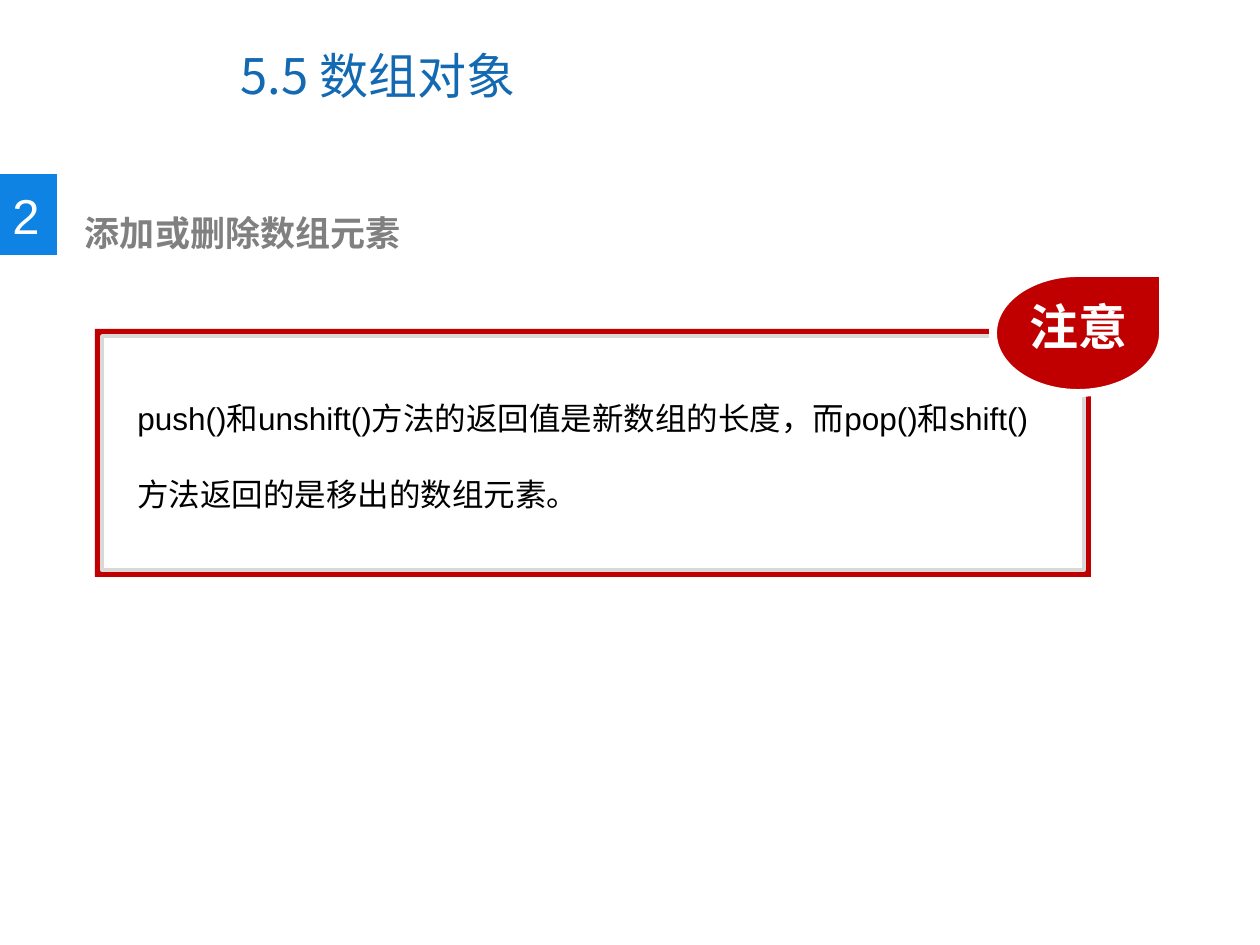
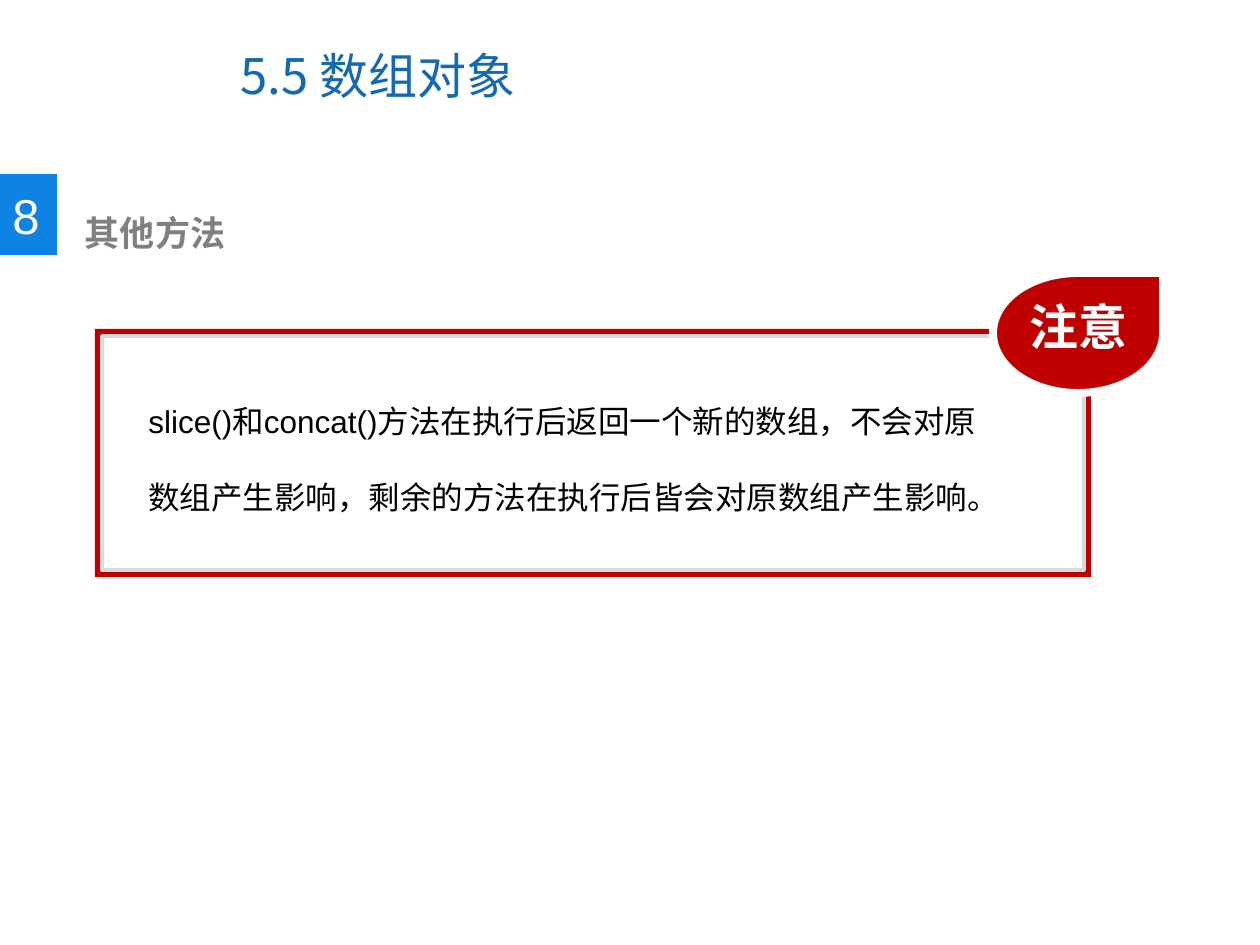
import pptx
import pptx.dml.color
import pptx.enum.shapes
import pptx.enum.text
import pptx.oxml.ns
import pptx.util

RGBColor = pptx.dml.color.RGBColor
Shape = pptx.enum.shapes.MSO_SHAPE
Anchor = pptx.enum.text.MSO_ANCHOR
Pt = pptx.util.Pt

PX = 914400 / 126
SLIDE_SIZE = (1260, 945)
TITLE_BOX = (228, 21, 650, 107)
MARKER_BOX = (0, 174, 57, 81)
HEADING_BOX = (59, 205, 648, 55)
FRAME_BOX = (95, 329, 996, 248)
BADGE_BOX = (993, 273, 170, 120)

WHITE = RGBColor(0xFF, 0xFF, 0xFF)
BLACK = RGBColor(0x00, 0x00, 0x00)
GREY = RGBColor(0x80, 0x80, 0x80)
PALE_GREY = RGBColor(0xD9, 0xD9, 0xD9)
TITLE_BLUE = RGBColor(0x13, 0x69, 0xB2)
MARKER_BLUE = RGBColor(0x0F, 0x83, 0xE3)
RED = RGBColor(0xC0, 0x00, 0x00)

LATIN = "Arial"
CJK = "Noto Sans CJK SC"

TITLE_STYLE = dict(name=CJK, size=Pt(28), bold=False, color=TITLE_BLUE)
NUMBER_STYLE = dict(name=LATIN, size=Pt(28), color=WHITE)
HEADING_STYLE = dict(name=LATIN, size=Pt(20), bold=True, color=GREY)
BADGE_STYLE = dict(name=CJK, size=Pt(28), bold=True, color=WHITE)
NOTE_STYLE = dict(name=LATIN, size=Pt(18), color=BLACK)

TITLE = "5.5 数组对象"
BADGE = "注意"
NOTES = [
    dict(number="2", heading="添加或删除数组元素", box=(125, 355, 917, 165),
         note="push()和unshift()方法的返回值是新数组的长度，"
              "而pop()和shift()方法返回的是移出的数组元素。"),
    dict(number="8", heading="其他方法", box=(136, 358, 881, 165),
         note="slice()和concat()方法在执行后返回一个新的数组，不会对原数组产生影响，"
              "剩余的方法在执行后皆会对原数组产生影响。"),
]


def emu(*lengths):
    return [round(n * PX) for n in lengths]


def write(p, text, style):
    """Put one run in p, with the East Asian font named as well."""
    r = p.add_run()
    r.text = text
    for key, value in style.items():
        if key == "color":
            r.font.color.rgb = value
        else:
            setattr(r.font, key, value)
    ea = r._r.get_or_add_rPr().makeelement(pptx.oxml.ns.qn("a:ea"), {"typeface": CJK})
    r._r.rPr.find(pptx.oxml.ns.qn("a:latin")).addnext(ea)


def add_text(shapes, box, text, style, wrap=False):
    tf = shapes.add_textbox(*emu(*box)).text_frame
    tf.word_wrap = wrap
    write(tf.paragraphs[0], text, style)
    return tf


def add_block(shapes, kind, box, fill, line=None, width=0):
    s = shapes.add_shape(kind, *emu(*box))
    s.shadow.inherit = False
    s.fill.solid()
    s.fill.fore_color.rgb = fill
    if line is None:
        s.line.fill.background()
    else:
        s.line.color.rgb = line
        s.line.width = Pt(width)


def add_title(slide, box, text):
    title = slide.shapes.title
    title.left, title.top, title.width, title.height = emu(*box)
    tf = title.text_frame
    tf.auto_size = pptx.enum.text.MSO_AUTO_SIZE.NONE
    tf.vertical_anchor = Anchor.MIDDLE
    p = tf.paragraphs[0]
    p.alignment = pptx.enum.text.PP_ALIGN.LEFT
    write(p, text, TITLE_STYLE)


def add_marker(slide, box, number):
    x, y, w, h = box
    shapes = slide.shapes.add_group_shape().shapes
    add_block(shapes, Shape.RECTANGLE, box, MARKER_BLUE)
    add_text(shapes, (x, y + 5, w - 4, h - 9), number, NUMBER_STYLE)


def add_heading(slide, box, text):
    tf = add_text(slide.shapes, box, text, HEADING_STYLE, wrap=True)
    tf.margin_left = emu(26)[0]


def add_frame(slide, box, border=7):
    x, y, w, h = box
    shapes = slide.shapes.add_group_shape().shapes
    add_block(shapes, Shape.RECTANGLE, box, RED)
    inner = (x + border, y + border, w - 2 * border, h - 2 * border)
    add_block(shapes, Shape.RECTANGLE, inner, WHITE, PALE_GREY, 2)


def add_badge(slide, box, text):
    x, y, w, h = box
    shapes = slide.shapes.add_group_shape().shapes
    add_block(shapes, Shape.TEAR, box, RED, WHITE, 4.5)
    add_text(shapes, (x + 24, y + 17, 125, 72), text, BADGE_STYLE)


def add_note_slide(prs, number, heading, note, box):
    slide = prs.slides.add_slide(prs.slide_layouts.get_by_name("Title Only"))
    add_title(slide, TITLE_BOX, TITLE)
    add_marker(slide, MARKER_BOX, number)
    add_heading(slide, HEADING_BOX, heading)
    add_frame(slide, FRAME_BOX)
    add_badge(slide, BADGE_BOX, BADGE)
    tf = add_text(slide.shapes, box, note, NOTE_STYLE, wrap=True)
    tf.paragraphs[0].line_spacing = 2.0


def main():
    prs = pptx.Presentation()
    prs.slide_width, prs.slide_height = emu(*SLIDE_SIZE)
    for content in NOTES:
        add_note_slide(prs, **content)
    prs.save("out.pptx")


if __name__ == "__main__":
    main()
